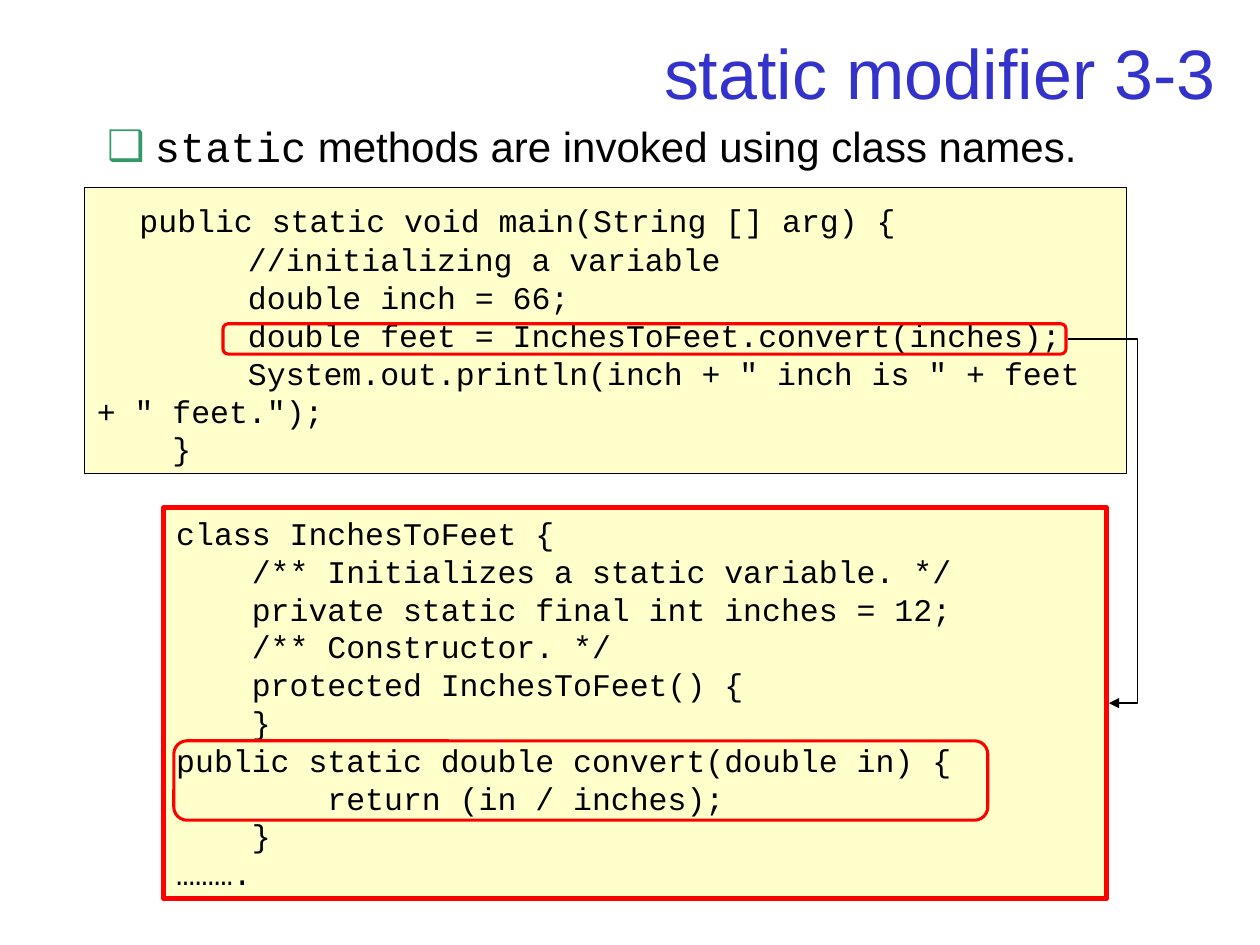
from lxml import etree
from pptx import Presentation
from pptx.dml.color import RGBColor
from pptx.enum.dml import MSO_LINE
from pptx.enum.shapes import MSO_CONNECTOR, MSO_SHAPE
from pptx.enum.text import MSO_ANCHOR, PP_ALIGN
from pptx.oxml.ns import qn
from pptx.util import Inches, Pt

RECT, ROUND = MSO_SHAPE.RECTANGLE, MSO_SHAPE.ROUNDED_RECTANGLE
ELBOW, SOLID = MSO_CONNECTOR.ELBOW, MSO_LINE.SOLID
MIDDLE, TOP = MSO_ANCHOR.MIDDLE, MSO_ANCHOR.TOP
LEFT, RIGHT = PP_ALIGN.LEFT, PP_ALIGN.RIGHT

BLACK = RGBColor(0x00, 0x00, 0x00)
RED = RGBColor(0xFF, 0x00, 0x00)
BLUE = RGBColor(0x33, 0x33, 0xCC)
CREAM = RGBColor(0xFF, 0xFF, 0xCC)
GREEN = RGBColor(0x33, 0x99, 0x66)
SANS, MONO = "Arial", "Courier New"

MAIN = """public static void main(String [] arg) {
        //initializing a variable
        double inch = 66;
        double feet = InchesToFeet.convert(inches);
        System.out.println(inch + " inch is " + feet + " feet.");
    }"""

CLASS = """class InchesToFeet {
    /** Initializes a static variable. */
    private static final int inches = 12;
    /** Constructor. */
    protected InchesToFeet() {
    }
public static double convert(double in) {
        return (in / inches);
    }
………."""


def inch(*nums):
    return [Inches(n) for n in nums]


def write(para, text, size=18, font=MONO, color=BLACK):
    run = para.add_run()
    run.text = text
    run.font.size = Pt(size)
    run.font.name = font
    run.font.color.rgb = color


def place(shape, box):
    shape.left, shape.top, shape.width, shape.height = inch(*box)


def frame(shape, anchor):
    text = shape.text_frame
    text.word_wrap = True
    text.vertical_anchor = anchor
    text.margin_left = text.margin_right = Inches(0.1)
    text.margin_top = text.margin_bottom = Inches(0.05)
    return text


def bullet(para, sign):
    """Hang the paragraph by 0.38 in behind a green sign."""
    props = para._p.get_or_add_pPr()
    props.set("marL", str(Inches(0.38)))
    props.set("indent", str(-Inches(0.38)))
    tint = etree.SubElement(props, qn("a:buClr"))
    etree.SubElement(tint, qn("a:srgbClr"), val=str(GREEN))
    etree.SubElement(props, qn("a:buFont"), typeface=SANS)
    etree.SubElement(props, qn("a:buChar"), char=sign)


def panel(slide, kind, box, line, width, fill=None):
    shape = slide.shapes.add_shape(kind, *inch(*box))
    shape.shadow.inherit = False
    if fill is None:
        shape.fill.background()
    else:
        shape.fill.solid()
        shape.fill.fore_color.rgb = fill
    shape.line.color.rgb = line
    shape.line.width = Pt(width)
    return shape


def title(slide, box):
    shape = slide.shapes.title
    place(shape, box)
    para = frame(shape, MIDDLE).paragraphs[0]
    para.alignment = RIGHT
    write(para, "static modifier 3-3", size=40, font=SANS, color=BLUE)


def point(slide, box):
    shape = slide.placeholders[1]
    place(shape, box)
    para = frame(shape, TOP).paragraphs[0]
    para.space_before = Pt(0)
    bullet(para, "❑")
    write(para, "static", size=24)
    write(para, " methods are invoked using class names.", size=24, font=SANS)


def code(slide, box, text, line, width, lead=""):
    """Draw a code panel; lead is the sans-serif indent of its first line."""
    body = frame(panel(slide, RECT, box, line, width, CREAM), MIDDLE)
    for i, row in enumerate(text.split("\n")):
        para = body.add_paragraph() if i else body.paragraphs[0]
        para.alignment = LEFT
        if lead and i == 0:
            write(para, lead, size=22, font=SANS)
        write(para, row)


def ring(slide, box):
    panel(slide, ROUND, box, RED, 1.75)


def arrow(slide, start, end, bend):
    """Join two points by an elbow that bends at the given x."""
    link = slide.shapes.add_connector(ELBOW, *inch(*start, *end))
    link.line.dash_style = SOLID
    link.line.color.rgb = BLACK
    link.line.width = Pt(0.75)
    props = link._element.spPr
    ratio = round((bend - start[0]) / (end[0] - start[0]) * 100000)
    guides = props.find(qn("a:prstGeom")).get_or_add_avLst()
    etree.SubElement(guides, qn("a:gd"), name="adj1", fmla=f"val {ratio}")
    etree.SubElement(props.find(qn("a:ln")), qn("a:tailEnd"), type="triangle")
    etree.SubElement(props, qn("a:effectLst"))


def main():
    deck = Presentation()
    deck.slide_width, deck.slide_height = inch(10, 7.5)
    slide = deck.slides.add_slide(deck.slide_layouts[1])

    # Title and list
    title(slide, (0.75, 0.13, 9, 0.87))
    point(slide, (0.75, 0.91, 9.25, 0.55))

    # Calling code
    code(slide, (0.67, 1.49, 8.27, 2.27), MAIN, BLACK, 0.75, lead="    ")
    ring(slide, (1.77, 2.57, 6.69, 0.24))

    # Called class
    code(slide, (1.3, 4.03, 7.48, 3.1), CLASS, RED, 3)
    ring(slide, (1.38, 5.88, 6.46, 0.63))

    # Link from call to class
    arrow(slide, (8.48, 2.69), (8.8, 5.58), 9.03)
    deck.save("out.pptx")


if __name__ == "__main__":
    main()
